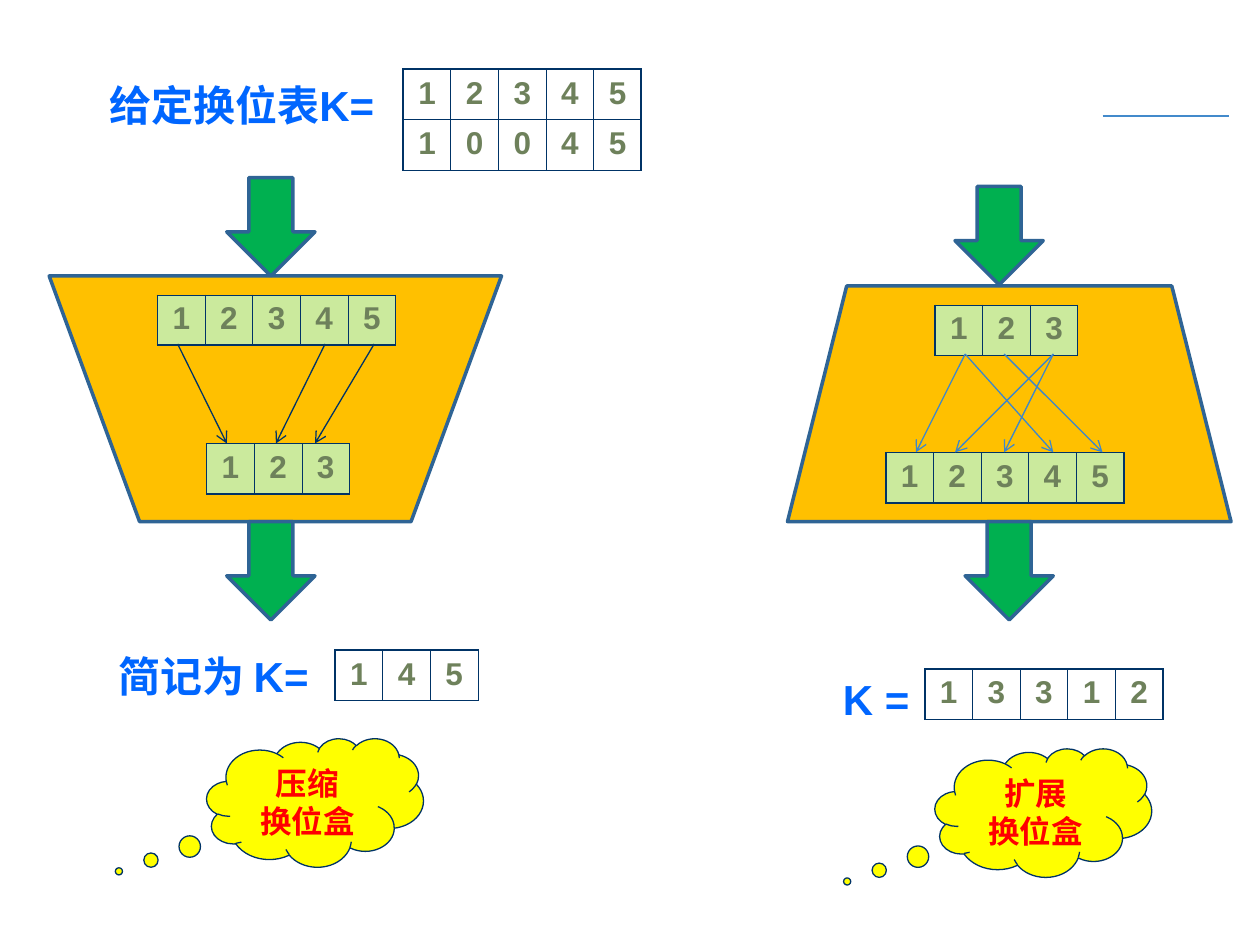
from lxml.etree import SubElement
from pptx import Presentation
from pptx.dml.color import RGBColor
from pptx.enum.shapes import MSO_CONNECTOR, MSO_SHAPE
from pptx.enum.text import MSO_ANCHOR, PP_ALIGN
from pptx.oxml.ns import qn
from pptx.util import Inches, Pt

NAVY = RGBColor(0x00, 0x33, 0x66)
STEEL = RGBColor(0x2F, 0x64, 0x95)
SKY = RGBColor(0x3E, 0x87, 0xCA)
RULE = RGBColor(0x43, 0x8A, 0xCB)
BLUE = RGBColor(0x00, 0x66, 0xFF)
ORANGE = RGBColor(0xFF, 0xC0, 0x00)
GREEN = RGBColor(0x00, 0xB0, 0x50)
LIME = RGBColor(0xCB, 0xEA, 0x9D)
OLIVE = RGBColor(0x6E, 0x81, 0x5B)
YELLOW = RGBColor(0xFF, 0xFF, 0x00)
RED = RGBColor(0xFF, 0x00, 0x00)
WHITE = RGBColor(0xFF, 0xFF, 0xFF)

CELL_W = 1.89 / 5
CELL_H = 0.4


def write(tf, text, size=18, color=OLIVE, align=PP_ALIGN.CENTER, spacing=None):
    """Fill a text frame with one bold paragraph per line of text."""
    for i, line in enumerate(text.split("\n")):
        p = tf.add_paragraph() if i else tf.paragraphs[0]
        p.alignment = align
        p.line_spacing = spacing
        r = p.add_run()
        r.text = line
        r.font.name = "Arial"
        r.font.size = Pt(size)
        r.font.bold = True
        r.font.color.rgb = color


class Board:
    """Draws permutation box elements on one slide in a shared style."""

    def __init__(self, slide):
        self.shapes = slide.shapes
        self.thin, self.thick = 0.45, 1.08

    def paint(self, sp, fill, line, width):
        sp.shadow.inherit = False
        sp.fill.solid()
        sp.fill.fore_color.rgb = fill
        sp.line.color.rgb = line
        sp.line.width = Pt(width)
        return sp

    def shape(self, kind, x, y, w, h, fill, line=STEEL, width=2):
        sp = self.shapes.add_shape(kind, Inches(x), Inches(y), Inches(w), Inches(h))
        return self.paint(sp, fill, line, width)

    def polygon(self, points, fill):
        start, *rest = [(Inches(x), Inches(y)) for x, y in points]
        builder = self.shapes.build_freeform(*start)
        builder.add_line_segments(rest, close=True)
        self.paint(builder.convert_to_shape(), fill, STEEL, 2)

    def block_arrow(self, x, y):
        self.shape(MSO_SHAPE.DOWN_ARROW, x, y, 0.7, 0.78, GREEN)

    def cloud(self, x, y, text):
        sp = self.shape(MSO_SHAPE.CLOUD_CALLOUT, x, y, 1.72, 1.02, YELLOW, NAVY, 0.75)
        sp.adjustments[0], sp.adjustments[1] = -0.905, 0.535
        sp.text_frame.vertical_anchor = MSO_ANCHOR.TOP
        write(sp.text_frame, text, color=RED)

    def label(self, x, y, w, text, indent=0, top=0.05):
        tf = self.shapes.add_textbox(Inches(x), Inches(y), Inches(w), Inches(0.55)).text_frame
        tf.word_wrap = True
        tf.margin_left, tf.margin_top = Inches(0.1 + indent), Inches(top)
        write(tf, text, size=24, color=BLUE, align=PP_ALIGN.JUSTIFY, spacing=0.9)

    def line(self, x1, y1, x2, y2, color, arrow=True):
        c = self.shapes.add_connector(
            MSO_CONNECTOR.STRAIGHT, Inches(x1), Inches(y1), Inches(x2), Inches(y2))
        c.line.color.rgb = color
        c.line.width = Pt(0.75)
        if arrow:
            SubElement(c.line._get_or_add_ln(), qn("a:tailEnd"), type="arrow")
        SubElement(c._element.spPr, qn("a:effectLst"))

    def border(self, cell, side, width):
        ln = SubElement(cell._tc.get_or_add_tcPr(), qn("a:ln" + side), w=str(Pt(width)))
        fill = SubElement(ln, qn("a:solidFill"))
        SubElement(fill, qn("a:srgbClr"), val=str(NAVY))

    def grid(self, x, y, rows, fill, heavy):
        n, m = len(rows), len(rows[0])
        table = self.shapes.add_table(
            n, m, Inches(x), Inches(y), Inches(CELL_W * m), Inches(CELL_H * n)).table
        table.first_row = table.horz_banding = False
        for i, row in enumerate(rows):
            for j, digit in enumerate(row):
                cell = table.cell(i, j)
                outer = {"L": j == 0, "R": j == m - 1, "T": i == 0, "B": i == n - 1}
                for side, at_edge in outer.items():
                    is_heavy = at_edge and side in heavy
                    self.border(cell, side, self.thick if is_heavy else self.thin)
                cell.fill.solid()
                cell.fill.fore_color.rgb = fill
                write(cell.text_frame, digit)


def main():
    prs = Presentation()
    prs.slide_width, prs.slide_height = Inches(10), Inches(7.5)
    s = Board(prs.slides.add_slide(prs.slide_layouts[6]))

    s.line(8.75, 0.92, 9.75, 0.92, RULE, arrow=False)
    s.polygon([(6.25, 4.14), (6.72, 2.27), (9.3, 2.27), (9.77, 4.14)], ORANGE)
    s.shape(MSO_SHAPE.FLOWCHART_MANUAL_OPERATION, 0.39, 2.19, 3.59, 1.95, ORANGE)

    s.grid(3.2, 0.55, ["12345", "10045"], WHITE, "LTR")
    s.label(0.77, 0.63, 2.67, "给定换位表K=")
    s.grid(7.34, 5.31, ["13312"], WHITE, "LTR")
    s.label(6.25, 5.23, 2.05, "K =", indent=0.34, top=0.16)
    s.grid(2.66, 5.16, ["145"], WHITE, "LT")
    s.label(0.84, 5.16, 2.67, "简记为 K=")

    for x, y, digits, heavy in [(1.25, 2.34, "12345", "LRB"), (1.64, 3.52, "123", "LB"),
                                (7.42, 2.42, "123", "LB"), (7.03, 3.59, "12345", "LRB")]:
        s.grid(x, y, [digits], LIME, heavy)

    for x1, x2 in [(1.41, 1.8), (2.58, 2.19), (2.97, 2.5)]:
        s.line(x1, 2.73, x2, 3.52, NAVY)
    for x1, x2 in [(7.66, 7.27), (8.36, 7.58), (8.36, 7.97), (7.66, 8.36), (7.97, 8.75)]:
        s.line(x1, 2.81, x2, 3.59, SKY)

    for x, y in [(1.8, 1.41), (1.8, 4.14), (7.58, 1.48), (7.66, 4.14)]:
        s.block_arrow(x, y)
    s.cloud(1.64, 5.86, "压缩\n换位盒")
    s.cloud(7.42, 5.94, "扩展\n换位盒")

    prs.save("out.pptx")


if __name__ == "__main__":
    main()
